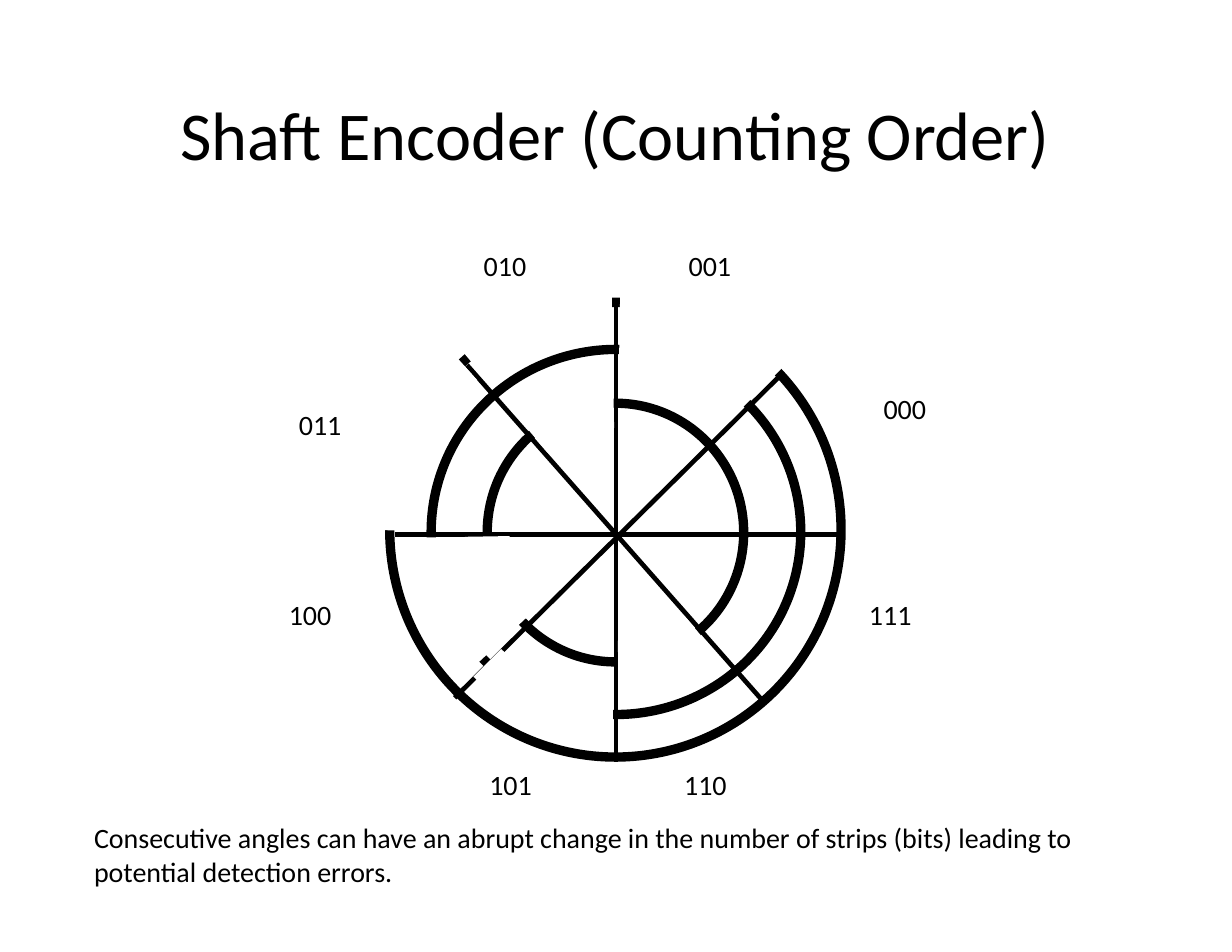
"""Build a slide showing a shaft encoder disc with codes in counting order."""
from dataclasses import dataclass
from math import cos, radians, sin

from lxml.etree import SubElement
from pptx import Presentation
from pptx.dml.color import RGBColor
from pptx.enum.shapes import MSO_CONNECTOR, MSO_SHAPE
from pptx.enum.text import MSO_ANCHOR, PP_ALIGN
from pptx.oxml.ns import qn
from pptx.util import Cm, Pt

BLACK = "000000"
WHITE = "FFFFFF"
FONT = "Calibri"
CENTRE_X, CENTRE_Y = 5.5, 4.77
ARC_STEPS = 8


@dataclass
class Ring:
    left: float
    top: float
    width: float
    height: float


@dataclass
class Spoke:
    start: tuple[float, float]
    end: tuple[float, float]


@dataclass
class Gap:
    inner: float
    outer: float
    start: float
    end: float


@dataclass
class Code:
    text: str
    left: float
    top: float


RINGS = [
    Ring(3.48, 2.7, 4.03, 4.06),
    Ring(3.85, 3.12, 3.3, 3.26),
    Ring(4.35, 3.6, 2.29, 2.31),
]

SPOKES = [
    Spoke((5.5, 2.74), (5.5, 6.8)),
    Spoke((3.53, 4.77), (7.47, 4.77)),
    Spoke((6.83, 6.28), (4.17, 3.26)),
    Spoke((6.97, 3.35), (4.06, 6.23)),
]

GAPS = [
    Gap(1.35, 2.2, 44, 90),
    Gap(0.95, 1.35, 90, 131),
    Gap(1.85, 2.2, 90, 131),
    Gap(1.85, 2.2, 131, 180),
    Gap(0.95, 1.35, 180, 224),
    Gap(1.45, 1.8, 180, 224),
    Gap(1.45, 1.8, 224, 270),
    Gap(0.95, 1.35, 270, 311),
]

CODES = [
    Code("000", 7.79, 3.45),
    Code("001", 6.05, 2.17),
    Code("010", 4.22, 2.17),
    Code("011", 2.57, 3.59),
    Code("100", 2.48, 5.29),
    Code("101", 4.27, 6.8),
    Code("110", 6.01, 6.8),
    Code("111", 7.66, 5.29),
]


def length(inches: float) -> Cm:
    return Cm(inches * 2.54)


def colour(hex_text: str) -> RGBColor:
    return RGBColor.from_string(hex_text)


def draw_ring(page, ring: Ring) -> None:
    shape = page.shapes.add_shape(
        MSO_SHAPE.OVAL, *map(length, (ring.left, ring.top, ring.width, ring.height))
    )
    shape.shadow.inherit = False
    shape.fill.background()
    shape.line.color.rgb = colour(BLACK)
    shape.line.width = Pt(6)


def draw_spoke(page, spoke: Spoke) -> None:
    line = page.shapes.add_connector(
        MSO_CONNECTOR.STRAIGHT, *map(length, spoke.start + spoke.end)
    )
    line.line.color.rgb = colour(BLACK)
    line.line.width = Pt(3)
    SubElement(line._element.spPr, qn("a:effectLst"))


def polar_point(radius: float, degrees: float) -> tuple[Cm, Cm]:
    angle = radians(degrees)
    return (length(CENTRE_X + radius * cos(angle)),
            length(CENTRE_Y - radius * sin(angle)))


def draw_gap(page, gap: Gap) -> None:
    first, last = gap.start + 1, gap.end - 1
    angles = [first + (last - first) * step / ARC_STEPS for step in range(ARC_STEPS + 1)]
    points = [polar_point(gap.outer, angle) for angle in angles]
    points += [polar_point(gap.inner, angle) for angle in reversed(angles)]
    builder = page.shapes.build_freeform(*points[0])
    builder.add_line_segments(points[1:], close=True)
    shape = builder.convert_to_shape()
    shape.shadow.inherit = False
    shape.fill.solid()
    shape.fill.fore_color.rgb = colour(WHITE)
    shape.line.fill.background()


def add_text(page, text: str, *, left: float, top: float, width: float, height: float,
             size: float = 18, align=PP_ALIGN.LEFT, wrap: bool = True,
             inset: tuple[float, float] = (0.11, 0.06)) -> None:
    box = page.shapes.add_textbox(*map(length, (left, top, width, height)))
    frame = box.text_frame
    frame.word_wrap = wrap
    frame.vertical_anchor = MSO_ANCHOR.TOP
    frame.margin_left = frame.margin_right = length(inset[0])
    frame.margin_top = frame.margin_bottom = length(inset[1])
    para = frame.paragraphs[0]
    para.alignment = align
    span = para.add_run()
    span.text = text
    span.font.name = FONT
    span.font.size = Pt(size)
    span.font.color.rgb = colour(BLACK)


def main() -> None:
    deck = Presentation()
    deck.slide_width, deck.slide_height = length(11), length(8.5)
    page = deck.slides.add_slide(deck.slide_layouts[6])

    add_text(page, "Shaft Encoder (Counting Order)", left=0.82, top=0.76,
             width=9.35, height=1.42, size=44, align=PP_ALIGN.CENTER)
    for ring in RINGS:
        draw_ring(page, ring)
    for spoke in SPOKES:
        draw_spoke(page, spoke)
    for gap in GAPS:
        draw_gap(page, gap)
    for code in CODES:
        add_text(page, code.text, left=code.left, top=code.top, width=0.59, height=0.4,
                 wrap=False, inset=(0.1, 0.05))
    add_text(page, "Consecutive angles can have an abrupt change in the number of strips "
             "(bits) leading to potential detection errors.",
             left=0.73, top=7.27, width=9.16, height=0.57)

    deck.save("out.pptx")


if __name__ == "__main__":
    main()
